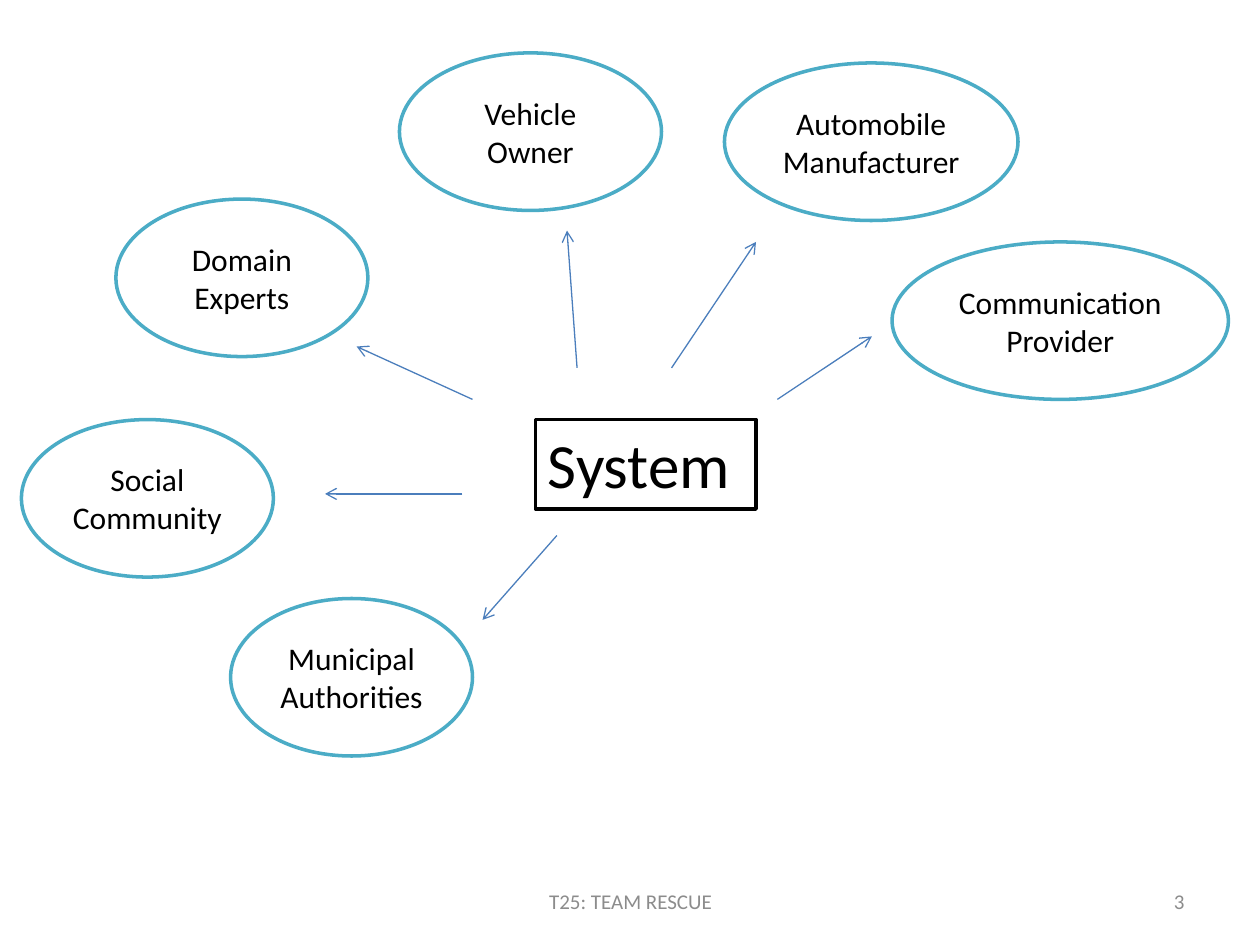
from lxml import etree
from pptx import Presentation
from pptx.dml.color import RGBColor
from pptx.enum import shapes, text
from pptx.oxml.ns import qn
from pptx.util import Inches, Pt


def color(hex_value):
    return RGBColor.from_string(hex_value)


def write(shape, wording, size, hex_value, align, anchor):
    frame = shape.text_frame
    frame.word_wrap = True
    frame.vertical_anchor = anchor
    paragraph = frame.paragraphs[0]
    paragraph.text = wording
    paragraph.alignment = align
    paragraph.font.name = "Calibri"
    paragraph.font.size = Pt(size)
    paragraph.font.color.rgb = color(hex_value)


LEFT, CENTER, RIGHT = text.PP_ALIGN.LEFT, text.PP_ALIGN.CENTER, text.PP_ALIGN.RIGHT
TOP, MIDDLE = text.MSO_ANCHOR.TOP, text.MSO_ANCHOR.MIDDLE
OVAL, RECTANGLE = shapes.MSO_SHAPE.OVAL, shapes.MSO_SHAPE.RECTANGLE

deck = Presentation()
deck.slide_width, deck.slide_height = Inches(10), Inches(7.5)
slide = deck.slides.add_slide(deck.slide_layouts[6])

system = (RECTANGLE, "System", 4.25, 3.33, 1.75, 0.71, "000000", 36, LEFT, TOP)
stakeholders = [
    ("Domain Experts", 0.92, 1.58, 2),
    ("Communication Provider", 7.08, 1.92, 2.67),
    ("Social Community", 0.17, 3.33, 2),
    ("Municipal Authorities", 1.83, 4.75, 1.92),
    ("Vehicle Owner", 3.17, 0.42, 2.08),
    ("Automobile Manufacturer", 5.75, 0.5, 2.33),
]
nodes = [system] + [
    (OVAL, name, left, top, width, 1.25, "4BACC6", 18, CENTER, MIDDLE)
    for name, left, top, width in stakeholders
]
for outline, name, left, top, width, height, border, size, align, anchor in nodes:
    node = slide.shapes.add_shape(
        outline, Inches(left), Inches(top), Inches(width), Inches(height))
    node.shadow.inherit = False
    node.fill.solid()
    node.fill.fore_color.rgb = color("FFFFFF")
    node.line.color.rgb = color(border)
    node.line.width = Pt(2)
    write(node, name, size, "000000", align, anchor)

arrows = [
    (4.58, 2.92, 4.5, 1.83),
    (3.75, 3.17, 2.83, 2.75),
    (3.67, 3.92, 2.58, 3.92),
    (4.42, 4.25, 3.83, 4.92),
    (5.33, 2.92, 6, 1.92),
    (6.17, 3.17, 6.92, 2.67),
]
for ends in arrows:
    arrow = slide.shapes.add_connector(
        shapes.MSO_CONNECTOR.STRAIGHT, *[Inches(value) for value in ends])
    arrow.line.color.rgb = color("4B7EBC")
    arrow.line.width = Pt(0.75)
    etree.SubElement(arrow.line._get_or_add_ln(), qn("a:tailEnd"), type="arrow")
    etree.SubElement(arrow._element.spPr, qn("a:effectLst"))

for wording, left, width, align in [
    ("3", 7.17, 2.33, RIGHT),
    ("T25: TEAM RESCUE", 3.42, 3.17, CENTER),
]:
    footer = slide.shapes.add_textbox(
        Inches(left), Inches(6.95), Inches(width), Inches(0.4))
    write(footer, wording, 12, "8C8C8C", align, MIDDLE)

deck.save("out.pptx")
